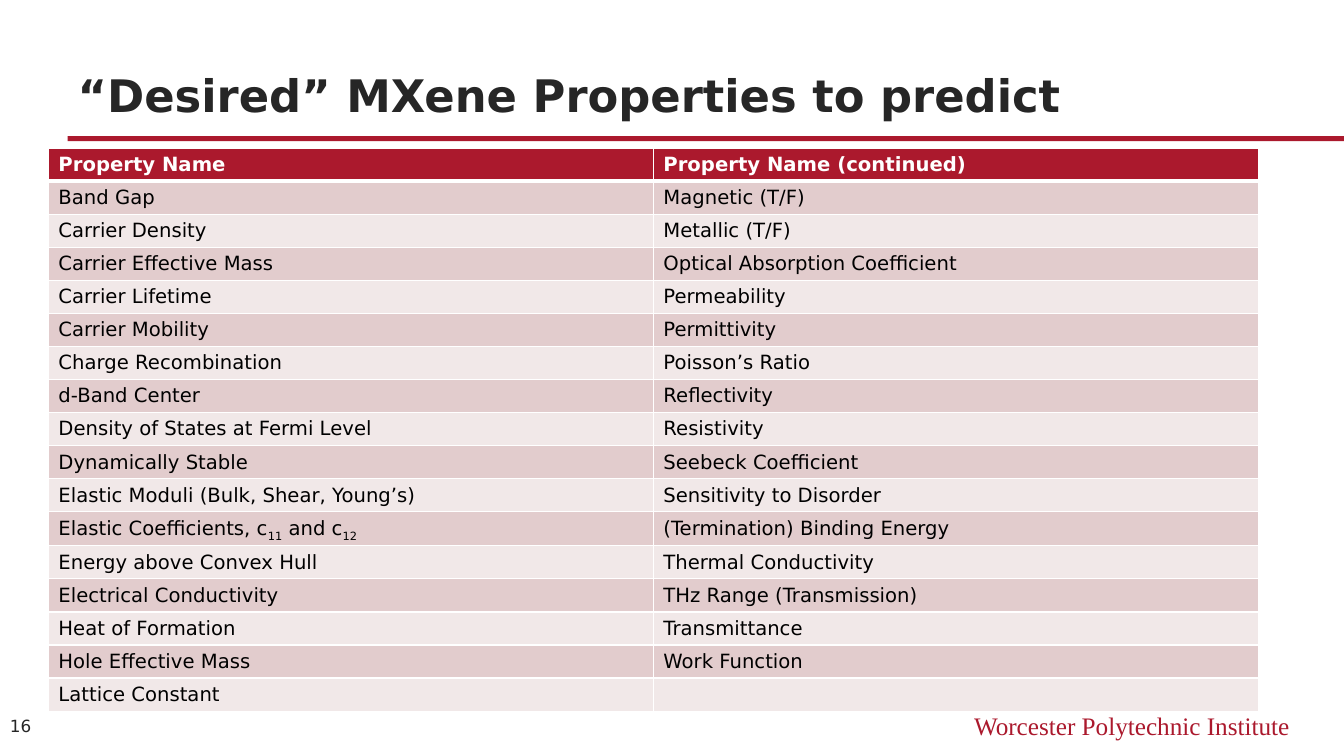
from itertools import zip_longest

from pptx import Presentation
from pptx.dml.color import RGBColor
from pptx.enum.shapes import MSO_SHAPE
from pptx.enum.text import MSO_ANCHOR as ANCHOR, PP_ALIGN as ALIGN
from pptx.oxml import parse_xml
from pptx.oxml.ns import nsdecls
from pptx.util import Inches, Pt

CRIMSON = RGBColor(0xAB, 0x19, 0x2D)
CHARCOAL = RGBColor(0x26, 0x26, 0x26)
BLACK = RGBColor(0, 0, 0)
WHITE = RGBColor(0xFF, 0xFF, 0xFF)
ROSE = RGBColor(0xE2, 0xCC, 0xCD)
PALE_ROSE = RGBColor(0xF1, 0xE8, 0xE8)
SANS = "DejaVu Sans"
SERIF = "Times New Roman"

HEADINGS = ("Property Name", "Property Name (continued)")
# Text after each "_" in a name alternates between subscript and normal.
FIRST_PROPERTIES = [
    "Band Gap", "Carrier Density", "Carrier Effective Mass", "Carrier Lifetime",
    "Carrier Mobility", "Charge Recombination", "d-Band Center",
    "Density of States at Fermi Level", "Dynamically Stable",
    "Elastic Moduli (Bulk, Shear, Young’s)",
    "Elastic Coefficients, c_11_ and c_12", "Energy above Convex Hull",
    "Electrical Conductivity", "Heat of Formation", "Hole Effective Mass",
    "Lattice Constant",
]
MORE_PROPERTIES = [
    "Magnetic (T/F)", "Metallic (T/F)", "Optical Absorption Coefficient",
    "Permeability", "Permittivity", "Poisson’s Ratio", "Reflectivity",
    "Resistivity", "Seebeck Coefficient", "Sensitivity to Disorder",
    "(Termination) Binding Energy", "Thermal Conductivity",
    "THz Range (Transmission)", "Transmittance", "Work Function",
]


def style(paragraph, name, size, color, bold=False):
    font = paragraph.font
    font.name, font.size, font.bold = name, Pt(size), bold
    font.color.rgb = color


def add_label(slide, box, text, name, size, color, align, anchor):
    frame = slide.shapes.add_textbox(*map(Inches, box)).text_frame
    frame.word_wrap = True
    frame.vertical_anchor = anchor
    label = frame.paragraphs[0]
    label.text, label.alignment = text, align
    style(label, name, size, color)


def add_heading(slide, box):
    title = slide.shapes.title
    title.left, title.top, title.width, title.height = map(Inches, box)
    title.text_frame.vertical_anchor = ANCHOR.BOTTOM
    heading = title.text_frame.paragraphs[0]
    heading.text = "“Desired” MXene Properties to predict"
    heading.alignment = ALIGN.LEFT
    style(heading, SANS, 32, CHARCOAL, bold=True)


def add_rule(slide, box):
    rule = slide.shapes.add_shape(MSO_SHAPE.RECTANGLE, *map(Inches, box))
    rule.shadow.inherit = False
    rule.fill.solid()
    rule.fill.fore_color.rgb = CRIMSON
    rule.line.fill.background()


def add_borders(cell, top, bottom):
    """Draw white borders; top and bottom are widths in points."""
    for side, width in (("L", 1), ("R", 1), ("T", top), ("B", bottom)):
        cell._tc.get_or_add_tcPr().append(parse_xml(
            f'<a:ln{side} {nsdecls("a")} w="{Pt(width)}"><a:solidFill>'
            f'<a:srgbClr val="{WHITE}"/></a:solidFill></a:ln{side}>'))


def fill_cell(cell, name, row):
    header = row == 0
    add_borders(cell, top=3 if row == 1 else 1, bottom=3 if header else 1)
    cell.margin_top, cell.margin_bottom = Inches(0.05), Inches(0.03)
    cell.fill.solid()
    cell.fill.fore_color.rgb = CRIMSON if header else ROSE if row % 2 else PALE_ROSE
    entry = cell.text_frame.paragraphs[0]
    style(entry, SANS, 14, WHITE if header else BLACK, bold=header)
    if not name:
        return
    for index, part in enumerate(name.split("_")):
        run = entry.add_run()
        run.text = part
        if index % 2:
            run._r.get_or_add_rPr().set("baseline", "-25000")


def add_property_table(slide, box):
    left, top, width, height = map(Inches, box)
    rows = [HEADINGS, *zip_longest(FIRST_PROPERTIES, MORE_PROPERTIES, fillvalue="")]
    table = slide.shapes.add_table(
        len(rows), len(HEADINGS), left, top, width, height).table
    for row, names in enumerate(rows):
        for column, name in enumerate(names):
            fill_cell(table.cell(row, column), name, row)


def main():
    deck = Presentation()
    deck.slide_width, deck.slide_height = Inches(13.33), Inches(7.5)
    slide = deck.slides.add_slide(deck.slide_layouts[5])
    add_rule(slide, (0.67, 1.35, 12.66, 0.05))
    add_heading(slide, (0.67, 0.38, 12, 0.88))
    add_property_table(slide, (0.48, 1.47, 12, 5.58))
    add_label(slide, (8, 7, 4.89, 0.4), "Worcester Polytechnic Institute",
              SERIF, 18, CRIMSON, ALIGN.RIGHT, ANCHOR.TOP)
    add_label(slide, (0, 6.99, 0.67, 0.43), "16",
              SANS, 12, CHARCOAL, ALIGN.LEFT, ANCHOR.MIDDLE)
    deck.save("out.pptx")


if __name__ == "__main__":
    main()
